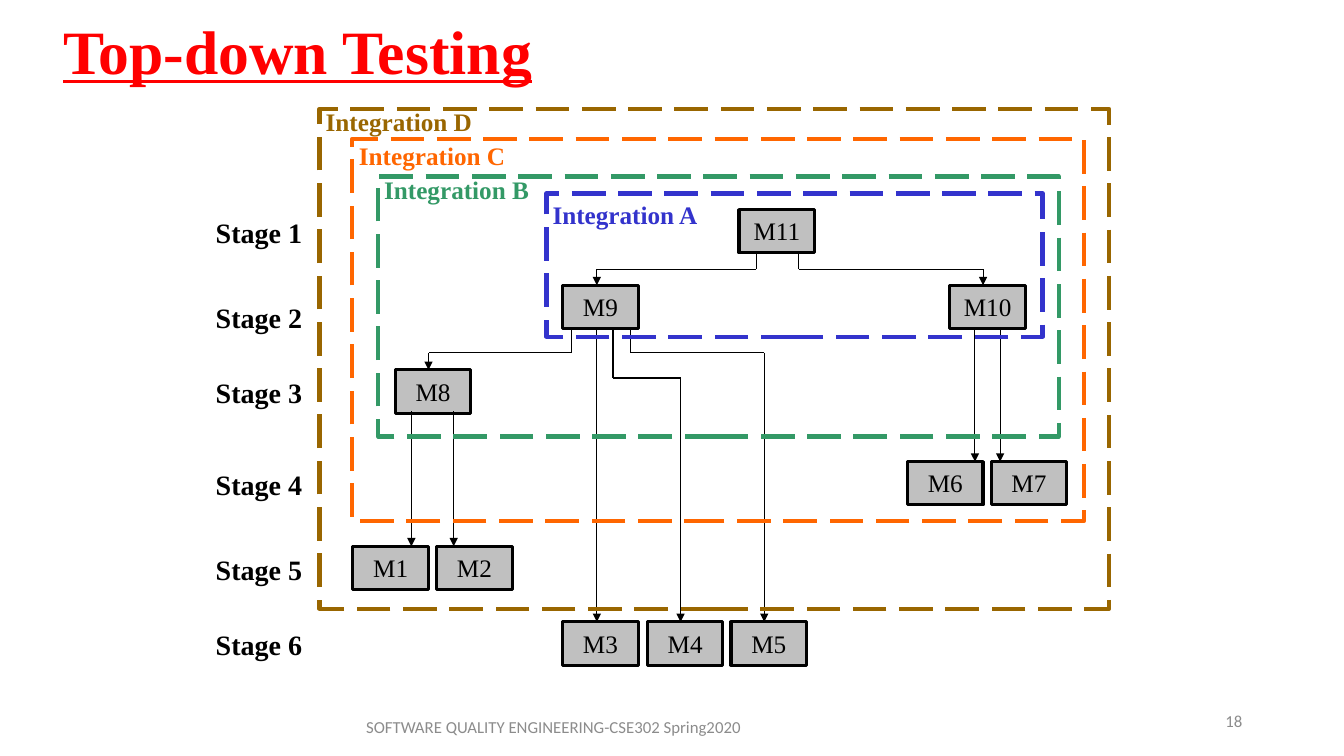
import pptx
import pptx.dml.color
import pptx.enum.dml
import pptx.enum.shapes
import pptx.enum.text
import pptx.oxml
import pptx.oxml.ns
import pptx.util

Inches = pptx.util.Inches
Pt = pptx.util.Pt
ALIGN = pptx.enum.text.PP_ALIGN
ANCHOR = pptx.enum.text.MSO_ANCHOR
SHAPE = pptx.enum.shapes.MSO_SHAPE
STRAIGHT = pptx.enum.shapes.MSO_CONNECTOR.STRAIGHT
DASH = pptx.enum.dml.MSO_LINE.LONG_DASH

COLORS = {
    "black": "000000", "red": "FF0000", "box": "C0C0C0", "foot": "8C8C8C",
    "A": "3333CC", "B": "339966", "C": "FF6600", "D": "996600",
}
SERIF = "Times New Roman"
TITLE = {"name": SERIF, "size": Pt(44), "bold": True, "underline": True}
STAGE = {"name": SERIF, "size": Pt(20), "bold": True}
LABEL = {"name": SERIF, "size": Pt(18), "bold": True}
MODULE = {"name": SERIF, "size": Pt(18)}
FOOTER = {"name": "Calibri", "size": Pt(12)}

STAGES = [2.08, 2.92, 3.67, 4.58, 5.42, 6.17]

# Row top: module name and left edge
MODULES = {
    2.08: {"M11": 7.33},
    2.83: {"M9": 5.58, "M10": 9.42},
    3.67: {"M8": 3.92},
    4.58: {"M6": 9, "M7": 9.83},
    5.42: {"M1": 3.5, "M2": 4.33},
    6.17: {"M3": 5.58, "M4": 6.42, "M5": 7.25},
}

# Corner points from caller to called module
CALLS = [
    [(7.5, 2.5), (7.5, 2.67), (5.92, 2.67), (5.92, 2.83)],
    [(7.92, 2.5), (7.92, 2.67), (9.75, 2.67), (9.75, 2.83)],
    [(5.67, 3.25), (5.67, 3.5), (4.25, 3.5), (4.25, 3.67)],
    [(5.92, 3.25), (5.92, 6.17)],
    [(6.08, 3.25), (6.08, 3.75), (6.75, 3.75), (6.75, 6.17)],
    [(6.25, 3.25), (6.25, 3.5), (7.58, 3.5), (7.58, 6.17)],
    [(9.67, 3.25), (9.67, 4.58)],
    [(9.92, 3.25), (9.92, 4.58)],
    [(4.08, 4.08), (4.08, 5.42)],
    [(4.5, 4.08), (4.5, 5.42)],
]

# Frame box, then label left and top
FRAMES = {
    "C": ((3.49, 1.38, 7.26, 3.79), (3.5, 1.33)),
    "A": ((5.42, 1.92, 4.92, 1.42), (5.42, 1.92)),
    "B": ((3.75, 1.75, 6.75, 2.58), (3.75, 1.67)),
    "D": ((3.17, 1.08, 7.83, 4.96), (3.17, 1)),
}


def apply(target, values):
    for name, value in values.items():
        setattr(target, name, value)


def paint(color, name):
    color.rgb = pptx.dml.color.RGBColor.from_string(COLORS[name])


def node(tag):
    """Make a drawing element from its tag and attributes."""
    return pptx.oxml.parse_xml(f"<a:{tag} {pptx.oxml.ns.nsdecls('a')}/>")


class Canvas:
    def __init__(self, slide):
        self.shapes = slide.shapes

    def label(self, shape, text, font, color, align=ALIGN.LEFT,
              anchor=ANCHOR.TOP, inset=(0.06, 0.06)):
        side, edge = map(Inches, inset)
        frame = shape.text_frame
        apply(frame, {
            "word_wrap": True, "vertical_anchor": anchor,
            "margin_left": side, "margin_right": side,
            "margin_top": edge, "margin_bottom": edge,
        })
        para = frame.paragraphs[0]
        para.alignment = align
        run = para.add_run()
        run.text = text
        apply(run.font, font)
        paint(run.font.color, color)
        return para

    def text(self, box, *words, **style):
        shape = self.shapes.add_textbox(*map(Inches, box))
        return self.label(shape, *words, **style)

    def block(self, box, width, color, fill=None, dash=None):
        """Draw a rectangle, hollow when no fill is given."""
        shape = self.shapes.add_shape(SHAPE.RECTANGLE, *map(Inches, box))
        shape.shadow.inherit = False
        if fill:
            shape.fill.solid()
            paint(shape.fill.fore_color, fill)
        else:
            shape.fill.background()
        paint(shape.line.color, color)
        apply(shape.line, {"width": Pt(width), "dash_style": dash})
        return shape

    def module(self, name, left, top):
        shape = self.block((left, top, 0.75, 0.43), 2.25, "black", "box")
        self.label(shape, name, MODULE, "black", ALIGN.CENTER)

    def call(self, points):
        """Join the points by lines; the last one ends in an arrowhead."""
        for start, end in zip(points, points[1:]):
            line = self.shapes.add_connector(
                STRAIGHT, *map(Inches, start + end))
            line.line.width = Pt(0.75)
            paint(line.line.color, "black")
            props = line._element.spPr
            props.append(node("effectLst"))
        props.find(pptx.oxml.ns.qn("a:ln")).append(
            node('tailEnd type="triangle"'))

    def frame(self, key, box, place):
        self.block(box, 3, key, dash=DASH)
        self.text(place + (1.75, 0.4), "Integration " + key, LABEL, key)


def main():
    deck = pptx.Presentation()
    apply(deck, {"slide_width": Inches(13.33), "slide_height": Inches(7.5)})
    canvas = Canvas(deck.slides.add_slide(deck.slide_layouts[6]))

    title = canvas.text((0.53, 0.16, 11.77, 0.77), "Top-down Testing", TITLE,
                        "red", anchor=ANCHOR.MIDDLE, inset=(0.1, 0.05))
    title.line_spacing = 0.9
    for top, row in MODULES.items():
        for name, left in row.items():
            canvas.module(name, left, top)
    for points in CALLS:
        canvas.call(points)
    for key, (box, place) in FRAMES.items():
        canvas.frame(key, box, place)
    for number, top in enumerate(STAGES, 1):
        canvas.text((2.08, top, 1.08, 0.43), f"Stage {number}", STAGE, "black")

    for box, words in (
        ((9.42, 6.95, 3, 0.4), "18"),
        ((2.95, 7.01, 4.5, 0.4),
         "SOFTWARE QUALITY ENGINEERING-CSE302 Spring2020"),
    ):
        canvas.text(box, words, FOOTER, "foot", align=ALIGN.RIGHT,
                    anchor=ANCHOR.MIDDLE, inset=(0.1, 0.05))
    deck.save("out.pptx")


if __name__ == "__main__":
    main()
